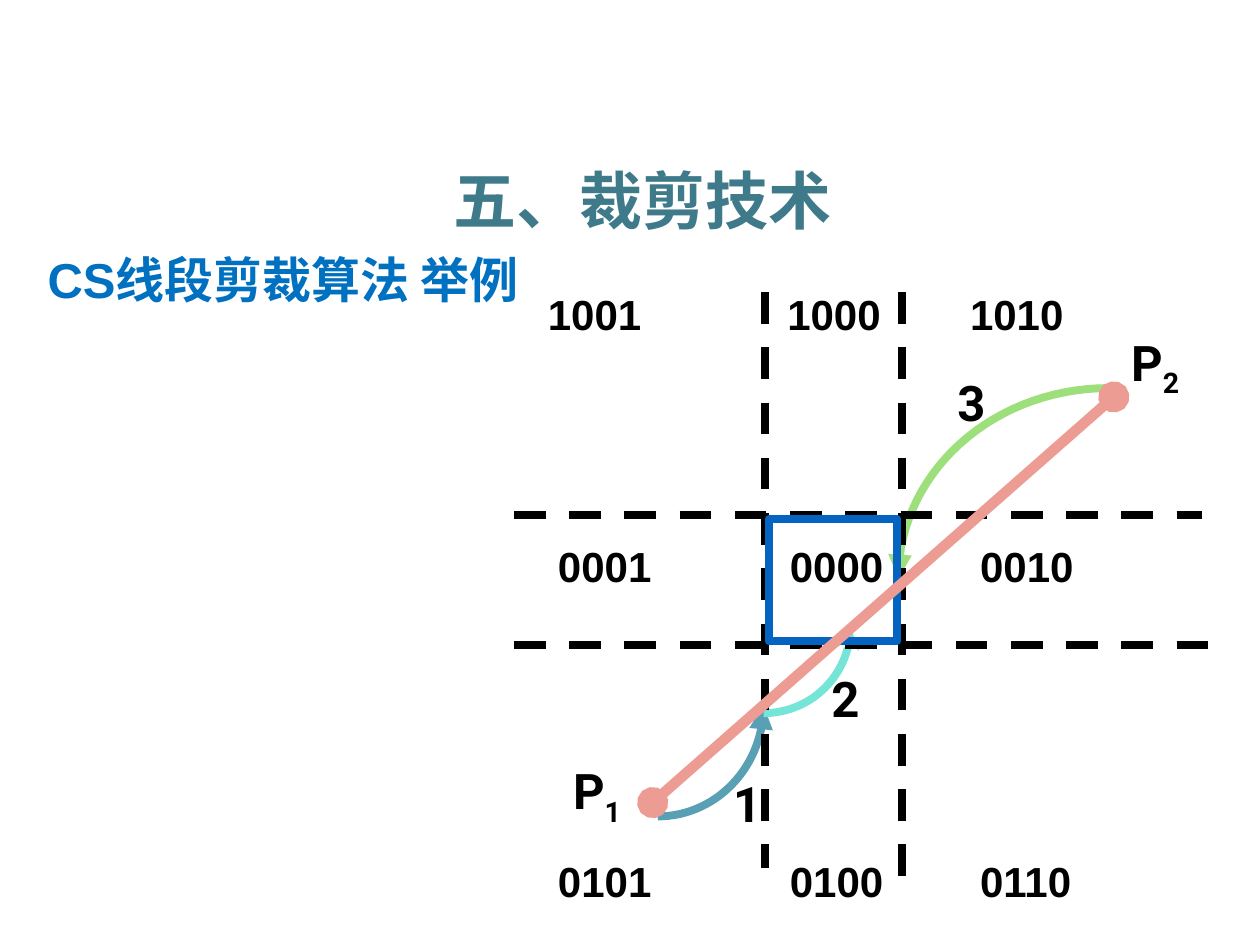
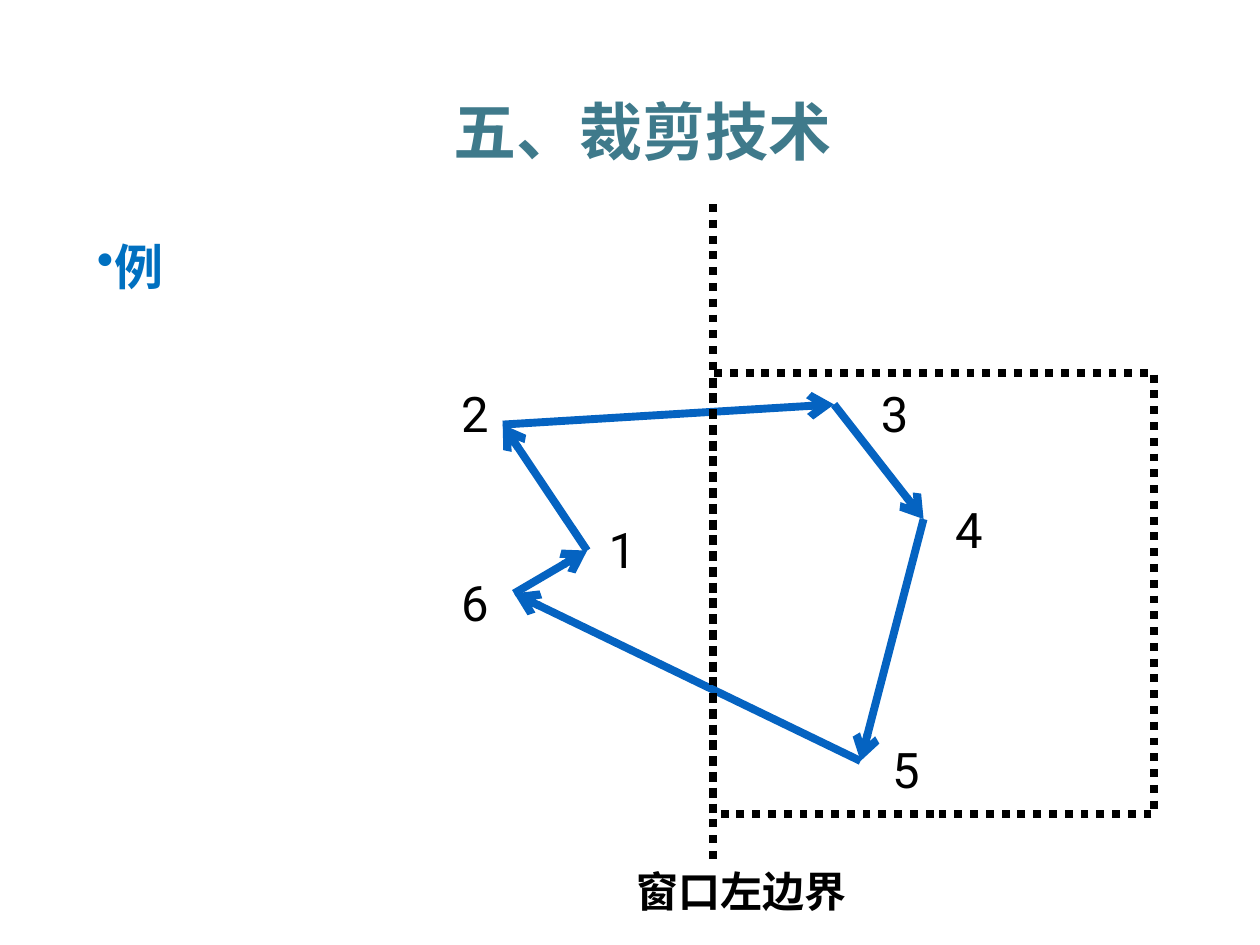
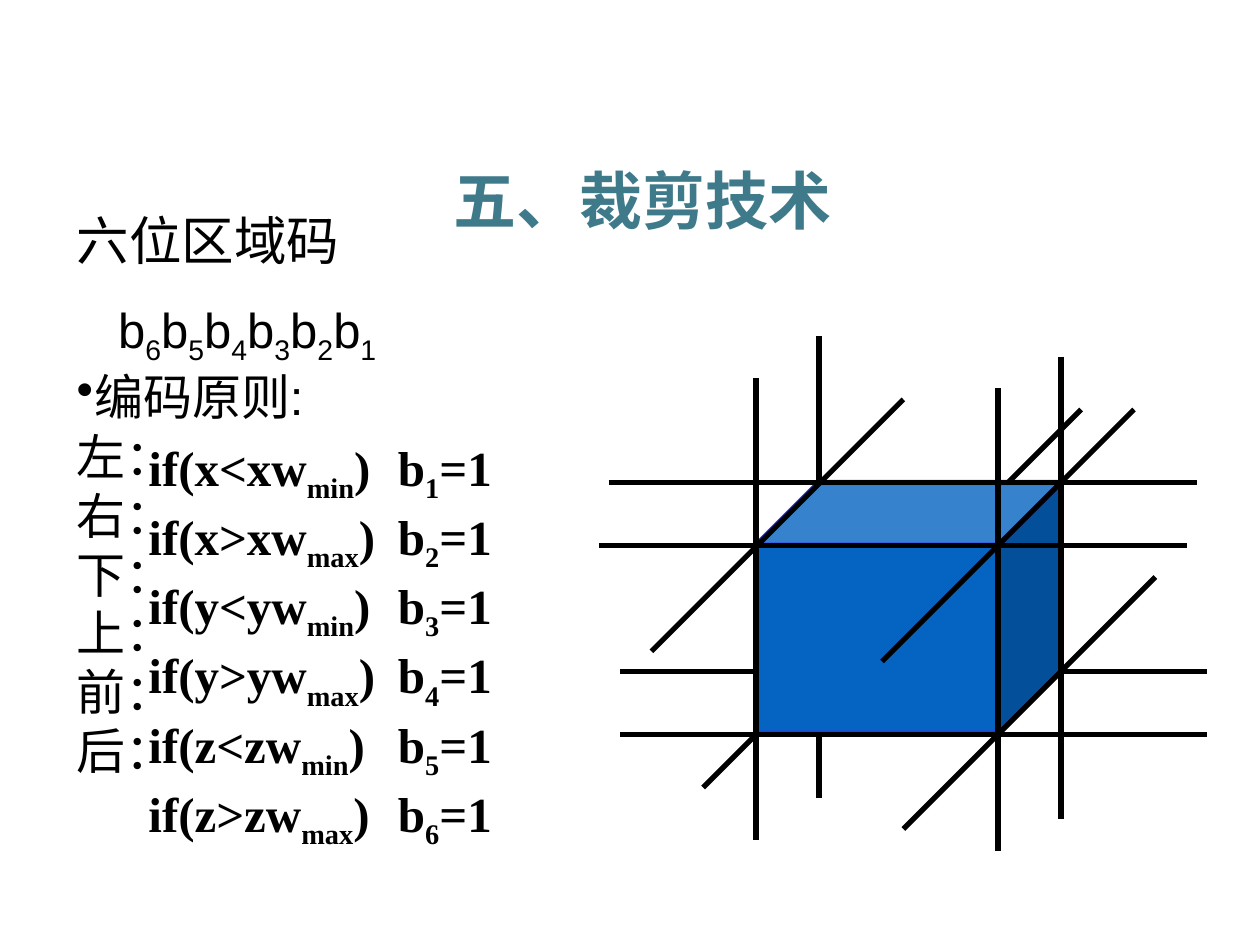
import math

import pptx
import pptx.dml.color
import pptx.enum.dml
import pptx.enum.shapes
import pptx.enum.text
import pptx.oxml.ns
import pptx.util
from lxml import etree

Inches = pptx.util.Inches
Pt = pptx.util.Pt
qn = pptx.oxml.ns.qn
Shape = pptx.enum.shapes.MSO_SHAPE
Dash = pptx.enum.dml.MSO_LINE
Align = pptx.enum.text.PP_ALIGN
Anchor = pptx.enum.text.MSO_ANCHOR

COLORS = {
    "black": "000000", "title": "3F7A8B", "heading": "0070C0", "blue": "0563C1",
    "teal": "5AA0B4", "aqua": "75E5D8", "green": "9CDF7B", "segment": "ED9C94",
    "cube_edge": "3333FF",
}
CJK_FONT = "Noto Sans CJK SC"


class Deck:
    """Holds the shared style and the slide being drawn."""

    def __init__(self):
        self.prs = pptx.Presentation()
        self.prs.slide_width, self.prs.slide_height = Inches(10), Inches(7.5)
        self.slide = None

    def rgb(self, name):
        """Return the named colour."""
        return pptx.dml.color.RGBColor.from_string(COLORS[name])

    def new_slide(self, title_top):
        """Start a slide with the shared title."""
        self.slide = self.prs.slides.add_slide(self.prs.slide_layouts[5])
        sp = self.slide.shapes.title
        sp.left, sp.top, sp.width, sp.height = map(Inches, (0.43, title_top, 9.34, 0.71))
        tf = sp.text_frame
        tf.auto_size = pptx.enum.text.MSO_AUTO_SIZE.NONE
        tf.vertical_anchor = Anchor.MIDDLE
        p = tf.paragraphs[0]
        p.alignment = Align.CENTER
        self.set_text(p, "五、裁剪技术", 36, CJK_FONT, "title", True)

    def set_text(self, p, text, size, font="Arial", color="black", bold=False):
        """Fill a paragraph; every second part between bars is a subscript."""
        for i, part in enumerate(text.split("|")):
            if part:
                r = p.add_run()
                r.text = part
                if i % 2:
                    r._r.get_or_add_rPr().set("baseline", "-25000")
        p.font.size, p.font.bold = Pt(size), bold
        p.font.color.rgb = self.rgb(color)
        p.font.name = font
        etree.SubElement(p._p.pPr.find(qn("a:defRPr")), qn("a:ea"), typeface=CJK_FONT)

    def box(self, left, top, width, height, wrap=True):
        """Add an empty text box and return its text frame."""
        sp = self.slide.shapes.add_textbox(*map(Inches, (left, top, width, height)))
        sp.text_frame.word_wrap = wrap
        return sp.text_frame

    def label(self, text, left, top, width, height, size=28, wrap=False, **style):
        """Add a one-line text box."""
        tf = self.box(left, top, width, height, wrap)
        self.set_text(tf.paragraphs[0], text, size, **style)
        return tf

    def number(self, text, left, top):
        """Add a centred vertex number without margins."""
        tf = self.label(text, left, top, 0.21, 0.47, font="Roboto")
        tf.margin_left = tf.margin_right = tf.margin_top = tf.margin_bottom = 0
        tf.vertical_anchor = Anchor.MIDDLE
        tf.paragraphs[0].alignment = Align.CENTER

    def bullet(self, p):
        """Give a paragraph a round bullet with a hanging indent."""
        self.indent(p, 0.14, -0.14)
        etree.SubElement(p._p.get_or_add_pPr(), qn("a:buChar"), char="•")

    def indent(self, p, left, first):
        """Set the left margin and first-line indent of a paragraph."""
        pPr = p._p.get_or_add_pPr()
        pPr.set("marL", str(Inches(left)))
        pPr.set("indent", str(Inches(first)))

    def tab(self, p, position):
        """Set one left tab stop."""
        tabs = etree.SubElement(p._p.get_or_add_pPr(), qn("a:tabLst"))
        etree.SubElement(tabs, qn("a:tab"), pos=str(Inches(position)), algn="l")

    def stroke(self, sp, color, width, dash=None, head=None, tail=None):
        """Format an outline and its arrowheads."""
        sp.line.color.rgb = self.rgb(color)
        sp.line.width = Pt(width)
        if dash:
            sp.line.dash_style = dash
        for tag, kind in (("a:headEnd", head), ("a:tailEnd", tail)):
            if kind:
                etree.SubElement(sp._element.spPr.find(qn("a:ln")), qn(tag), type=kind)

    def line(self, start, end, color="black", width=4.5, **style):
        """Add a straight connector."""
        sp = self.slide.shapes.add_connector(
            pptx.enum.shapes.MSO_CONNECTOR.STRAIGHT, *map(Inches, (*start, *end)))
        self.stroke(sp, color, width, **style)
        etree.SubElement(sp._element.spPr, qn("a:effectLst"))

    def shape(self, kind, left, top, width, height, color, line_width=4.5, fill=None, dash=None):
        """Add a preset shape."""
        sp = self.slide.shapes.add_shape(kind, *map(Inches, (left, top, width, height)))
        self.finish(sp, fill)
        self.stroke(sp, color, line_width, dash)

    def finish(self, sp, fill=None):
        """Set the fill and drop the shadow."""
        sp.shadow.inherit = False
        if fill:
            sp.fill.solid()
            sp.fill.fore_color.rgb = self.rgb(fill)
        else:
            sp.fill.background()

    def quarter_arc(self, center, radii, start, color, head):
        """Add a quarter ellipse with an arrowhead where it starts."""
        angles = [math.radians(start + 90 * i / 30) for i in range(31)]
        points = [(Inches(center[0] + radii[0] * math.cos(a)),
                   Inches(center[1] + radii[1] * math.sin(a))) for a in angles]
        builder = self.slide.shapes.build_freeform(*points[0])
        builder.add_line_segments(points[1:], close=False)
        sp = builder.convert_to_shape()
        self.finish(sp)
        self.stroke(sp, color, 4.5, head=head)


def line_clipping(deck):
    """Draw the segment clipping example with region codes."""
    deck.new_slide(1.23)
    strong = {"font": "Roboto", "bold": True}
    for text, center, radii, start, color, head, left, top in (
            ("1", (5.22, 5.6), (0.84, 0.88), 0, "teal", "triangle", 5.72, 6.09),
            ("3", (8.8, 4.59), (1.67, 1.51), 180, "green", "triangle", 7.5, 2.91),
            ("2", (6.06, 4.97), (0.69, 0.69), 0, "aqua", "stealth", 6.5, 5.26)):
        deck.quarter_arc(center, radii, start, color, head)
        deck.label(text, left, top, 0.45, 0.57, **strong)
    deck.label("CS线段剪裁算法 举例", 0.28, 1.93, 4.44, 0.66, wrap=True,
               color="heading", bold=True)
    for x, bottom in ((6.07, 6.89), (7.16, 6.99)):
        deck.line((x, 2.32), (x, bottom), dash=Dash.DASH)
    for y, right in ((4.09, 9.54), (5.12, 9.64)):
        deck.line((4.08, y), (right, y), dash=Dash.DASH)
    deck.shape(Shape.RECTANGLE, 6.1, 4.12, 1.02, 0.97, "blue")
    deck.line((8.84, 3.15), (5.18, 6.37), "segment", 6, head="oval", tail="oval")
    deck.label("P|1", 4.45, 5.99, 0.63, 0.57, **strong)
    deck.label("P|2", 8.88, 2.59, 0.63, 0.57, **strong)
    for top, lefts, codes in (
            (2.24, (4.25, 6.15, 7.6), ("1001", "1000", "1010")),
            (4.24, (4.33, 6.17, 7.68), ("0001", "0000", "0010")),
            (6.74, (4.33, 6.17, 7.68), ("0101", "0100", "0110"))):
        for left, code in zip(lefts, codes):
            deck.label(code, left, top, 0.98, 0.5, 24, wrap=True, bold=True)


def polygon_clipping(deck):
    """Draw the polygon that crosses the window's left border."""
    deck.new_slide(0.68)
    p = deck.box(0.67, 1.78, 4.42, 0.62).paragraphs[0]
    p.line_spacing = 1.1
    deck.bullet(p)
    deck.set_text(p, "例", 28, color="heading", bold=True)
    deck.shape(Shape.RECTANGLE, 5.66, 2.96, 3.5, 3.5, "black", dash=Dash.ROUND_DOT)
    vertices = [(4.66, 4.37), (3.99, 3.37), (6.62, 3.21),
                (7.33, 4.12), (6.83, 6.04), (4.08, 4.71)]
    for start, end in zip(vertices, vertices[1:] + vertices[:1]):
        deck.line(start, end, "blue", tail="arrow")
    places = [(4.83, 4.12), (3.66, 3.04), (6.99, 3.04),
              (7.58, 3.96), (7.08, 5.87), (3.66, 4.54)]
    for i, place in enumerate(places, 1):
        deck.number(str(i), *place)
    deck.line((5.66, 1.62), (5.66, 6.87), dash=Dash.ROUND_DOT)
    deck.label("窗口左边界", 4.95, 6.82, 1.87, 0.5, 24, font="Roboto", bold=True)


def region_codes(deck):
    """Draw the six-bit region code rules beside the view volume."""
    deck.new_slide(1.23)
    behind = [((6.5, 2.67), (6.5, 6.33)), ((8.58, 3.25), (5.58, 6.25)),
              ((4.92, 5.33), (9.58, 5.33))]
    in_front = [((4.75, 4.33), (9.42, 4.33)), ((4.92, 5.83), (9.58, 5.83)),
                ((4.83, 3.83), (9.5, 3.83)), ((9, 3.25), (7, 5.25)),
                ((7.17, 3.17), (5.17, 5.17)), ((9.17, 4.58), (7.17, 6.58)),
                ((6, 3), (6, 6.67)), ((7.92, 3.08), (7.92, 6.75)),
                ((8.42, 2.83), (8.42, 6.5))]
    for ends in behind:
        deck.line(*ends, width=3)
    deck.shape(Shape.CUBE, 6, 3.83, 2.42, 1.99, "cube_edge", 3, fill="blue")
    for ends in in_front:
        deck.line(*ends, width=3)

    rows = [("六位区域码", 30, 1.2, 0), ("b|6|b|5|b|4|b|3|b|2|b|1", 28, 0.9, 17),
            ("编码原则:", 28, 0.8, 10)]
    rows += [(side + "：", 28, 0.7, 10) for side in "左右下上前后"]
    tf = deck.box(0.51, 1.5, 3.32, 5.33)
    for i, (text, size, spacing, before) in enumerate(rows):
        p = tf.add_paragraph() if i else tf.paragraphs[0]
        p.line_spacing = spacing
        if before:
            p.space_before = Pt(before)
        if i == 1:
            deck.indent(p, 0.33, 0)
        elif i == 2:
            deck.bullet(p)
        deck.set_text(p, text, size)

    tests = [(axis, *limit) for axis in "xyz" for limit in (("<", "min"), (">", "max"))]
    for i, (axis, sign, limit) in enumerate(tests):
        p = deck.box(1.08, 3.42 + 0.55 * i, 3.05, 0.57).paragraphs[0]
        deck.tab(p, 1.98)
        deck.set_text(p, f"if({axis}{sign}{axis}w|{limit}|)\tb|{i + 1}|=1", 28,
                      "Times New Roman", bold=True)


def main():
    """Build and save the three slides."""
    deck = Deck()
    line_clipping(deck)
    polygon_clipping(deck)
    region_codes(deck)
    deck.prs.save("out.pptx")


if __name__ == "__main__":
    main()
